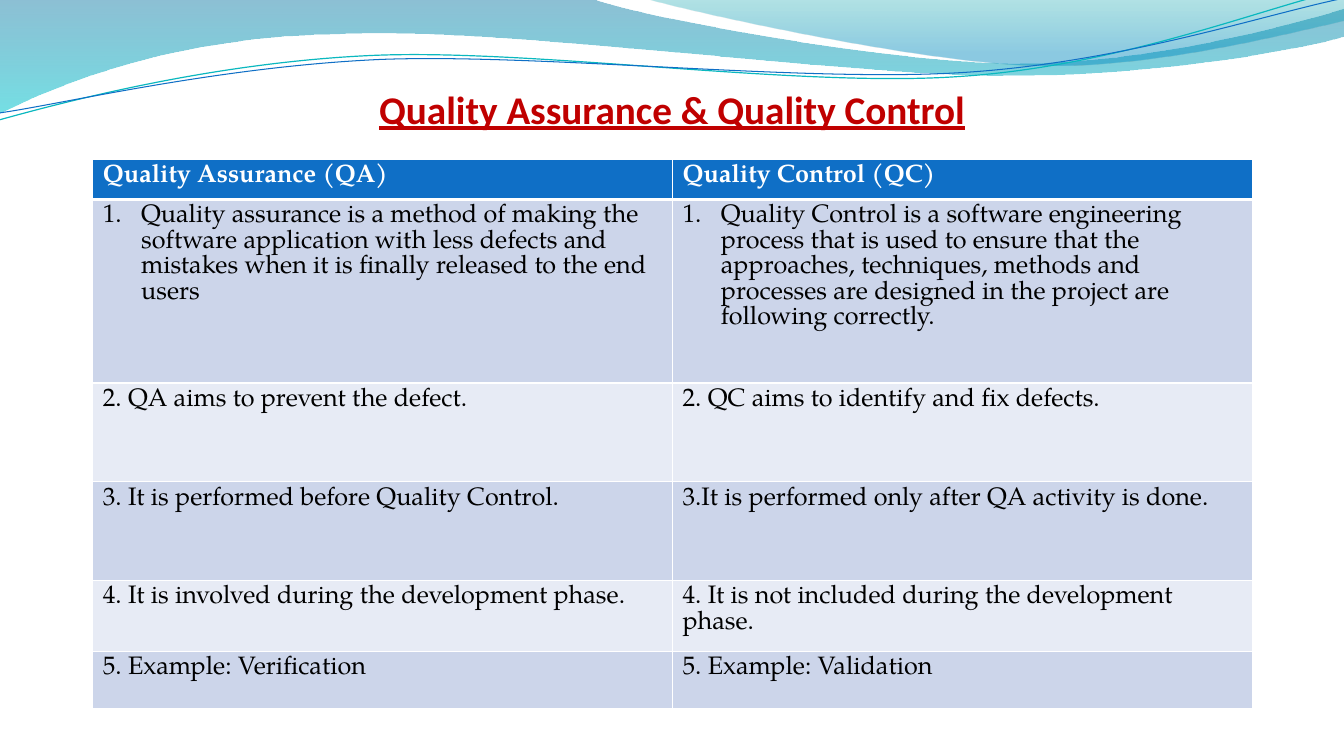
from lxml import etree
from pptx import Presentation
from pptx.dml.color import RGBColor
from pptx.enum.text import MSO_ANCHOR, PP_ALIGN
from pptx.oxml.ns import qn
from pptx.util import Inches, Pt

BOTTOM, CENTER = MSO_ANCHOR.BOTTOM, PP_ALIGN.CENTER
WHITE = RGBColor(0xFF, 0xFF, 0xFF)
BLACK = RGBColor(0x00, 0x00, 0x00)
RED = RGBColor(0xC0, 0x00, 0x00)
BLUE = RGBColor(0x0F, 0x6F, 0xC6)
TEAL = RGBColor(0x0A, 0xB8, 0xBF)
DEEP_BLUE = RGBColor(0x00, 0x74, 0xA1)
CYAN = RGBColor(0x00, 0xC6, 0xCF)
SEA_GREEN = RGBColor(0x00, 0xA1, 0xA9)
SKY_BLUE = RGBColor(0x00, 0x8B, 0xBF)
BANDS = RGBColor(0xCC, 0xD5, 0xEA), RGBColor(0xE7, 0xEB, 0xF5)

# A two-number step is a straight line, a six-number step is a cubic curve.
BIG_WAVE = [(0, 0), (5.87, -0.01), (6.34, 0.17, 8.85, 0.63, 10.11, 0.63),
            (11.38, 0.63, 12.78, 0.26, 13.33, 0.09), (13.35, 0.36),
            (13.11, 0.44, 11.6, 0.76, 9.94, 0.75),
            (8.29, 0.75, 5.09, 0.28, 3.43, 0.34),
            (1.72, 0.36, 0.61, 0.83, -0.01, 1.13)]
RIGHT_WAVE = [(6.39, -0.01), (6.79, 0.11, 9.09, 0.62, 10.25, 0.65),
              (11.41, 0.69, 12.82, 0.32, 13.33, 0.21), (13.33, 0)]
TEAL_STRAND = [(-0.01, 1.19), (0.64, 1.01, 2.11, 0.62, 3.69, 0.55),
               (5.27, 0.48, 7.9, 0.87, 9.5, 0.76),
               (11.1, 0.66, 12.52, 0.08, 13.31, -0.1)]
BLUE_STRAND = [(0, 1.12), (0.63, 1.03, 2.18, 0.66, 3.78, 0.59),
               (5.37, 0.53, 7.96, 0.82, 9.55, 0.72),
               (11.15, 0.62, 12.55, 0.14, 13.34, -0.02)]

COMPARISON = [
    ("Quality Assurance (QA)", "Quality Control (QC)"),
    ("Quality assurance is a method of making the software application with "
     "less defects and mistakes when it is finally released to the end users",
     "Quality Control is a software engineering process that is used to ensure "
     "that the approaches, techniques, methods and processes are designed in "
     "the project are following correctly.\u00a0"),
    ("2. QA aims to prevent the defect.",
     "2. QC aims to identify and fix defects."),
    ("3. It is performed before Quality Control.",
     "3.It is performed only after QA activity is done."),
    ("4. It is involved during the development phase.",
     "4. It is not included during the development phase."),
    ("5. Example: Verification", "5. Example: Validation"),
]
ROW_HEIGHTS = [0.21, 1.82, 0.98, 0.98, 0.57, 0.57]
NUMBERED_ROW = 1


def add_outline(slide, left, top, steps, close):
    """Add a freeform whose steps are measured from left, top."""
    corners = [(left + Inches(s[-2]), top + Inches(s[-1])) for s in steps]
    builder = slide.shapes.build_freeform(*corners[0])
    builder.add_line_segments(corners[1:], close=close)
    outline = builder.convert_to_shape()
    outline.shadow.inherit = False
    segments = list(outline._element.spPr.iter(qn("a:lnTo")))
    for segment, step in zip(segments, steps[1:]):
        if len(step) == 6:
            bend(segment, step, left - outline.left, top - outline.top)
    return outline


def bend(segment, step, dx, dy):
    """Turn a straight segment into a cubic curve."""
    curve = etree.Element(qn("a:cubicBezTo"))
    for x, y in zip(step[::2], step[1::2]):
        etree.SubElement(curve, qn("a:pt"),
                         x=str(Inches(x) + dx), y=str(Inches(y) + dy))
    segment.getparent().replace(segment, curve)


def add_wave(slide, left, top, steps, stops):
    """Add a wave with a translucent gradient running downwards."""
    wave = add_outline(slide, left, top, steps, True)
    wave.line.fill.background()
    wave.fill.gradient()
    wave.fill.gradient_angle = 270
    for stop, (position, color, _) in zip(wave.fill.gradient_stops, stops):
        stop.position = position
        stop.color.rgb = color
    tints = wave._element.spPr.iter(qn("a:srgbClr"))
    for tint, (_, _, opacity) in zip(tints, stops):
        etree.SubElement(tint, qn("a:alpha"), val=str(opacity * 1000))


def add_strand(slide, left, top, steps, color, width):
    """Add a thin open curve."""
    strand = add_outline(slide, left, top, steps, False)
    strand.fill.background()
    strand.line.color.rgb = color
    strand.line.width = Pt(width)


def add_banner(slide, left, top):
    """Draw the waves and strands along the top edge."""
    add_wave(slide, left, top, BIG_WAVE, [(0, DEEP_BLUE, 45), (1, CYAN, 55)])
    add_wave(slide, left, top, RIGHT_WAVE,
             [(0, SEA_GREEN, 30), (0.8, SKY_BLUE, 45)])
    add_strand(slide, left, top, TEAL_STRAND, TEAL, 0.85)
    add_strand(slide, left, top, BLUE_STRAND, BLUE, 0.75)


def add_title(slide, left, top, width, height):
    """Place the underlined heading at the foot of its box."""
    frame = slide.shapes.add_textbox(left, top, width, height).text_frame
    frame.word_wrap = True
    frame.vertical_anchor = BOTTOM
    frame.margin_left = frame.margin_right = frame.margin_bottom = 0
    heading = frame.paragraphs[0]
    heading.text = "Quality Assurance & Quality Control"
    heading.alignment = CENTER
    font = heading.font
    font.name, font.size, font.color.rgb = "Calibri", Pt(28), RED
    font.bold = font.underline = True


def set_borders(cell, top, bottom):
    """Give a cell white borders; top and bottom are widths in points."""
    properties = cell._tc.get_or_add_tcPr()
    widths = {"a:lnL": 1, "a:lnR": 1, "a:lnT": top, "a:lnB": bottom}
    for place, (tag, width) in enumerate(widths.items()):
        border = etree.Element(qn(tag), w=str(Pt(width)))
        solid = etree.SubElement(border, qn("a:solidFill"))
        etree.SubElement(solid, qn("a:srgbClr"), val=str(WHITE))
        properties.insert(place, border)


def number_paragraph(paragraph):
    """Number a paragraph with a hanging indent."""
    properties = paragraph._p.get_or_add_pPr()
    properties.set("marL", str(Inches(0.38)))
    properties.set("indent", str(Inches(-0.38)))
    etree.SubElement(properties, qn("a:buFont"), typeface="+mj-lt")
    etree.SubElement(properties, qn("a:buAutoNum"), type="arabicPeriod")


def add_comparison(slide, left, top, width):
    """Place the banded QA and QC table."""
    table = slide.shapes.add_table(
        len(COMPARISON), 2, left, top, width, Inches(sum(ROW_HEIGHTS))).table
    for r, texts in enumerate(COMPARISON):
        table.rows[r].height = Inches(ROW_HEIGHTS[r])
        header = r == 0
        for c, text in enumerate(texts):
            cell = table.cell(r, c)
            cell.fill.solid()
            cell.fill.fore_color.rgb = BLUE if header else BANDS[(r - 1) % 2]
            set_borders(cell, 3 if r == 1 else 1, 3 if header else 1)
            paragraph = cell.text_frame.paragraphs[0]
            paragraph.text = text
            # Row heights follow the run font, so it is set on the run.
            font = paragraph.runs[0].font
            font.name, font.size, font.bold = "TeX Gyre Pagella", Pt(18), header
            font.color.rgb = WHITE if header else BLACK
            if r == NUMBERED_ROW:
                number_paragraph(paragraph)


def main():
    """Build and save the slide."""
    deck = Presentation()
    deck.slide_width, deck.slide_height = Inches(13.33), Inches(7.5)
    slide = deck.slides.add_slide(deck.slide_layouts[6])
    add_banner(slide, 0, 0)
    add_title(slide, 0, 0, deck.slide_width, Inches(1.31))
    add_comparison(slide, Inches(0.92), Inches(1.58), Inches(11.5))
    deck.save("out.pptx")


main()
